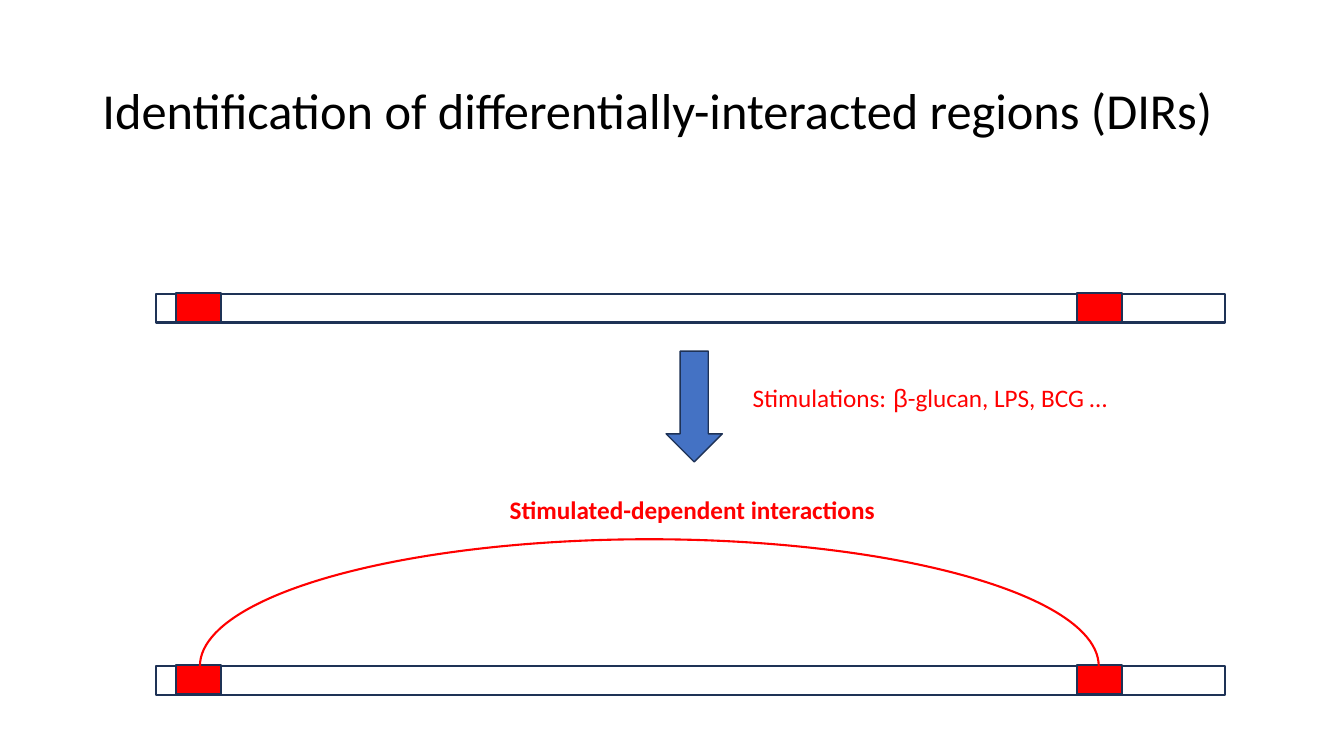
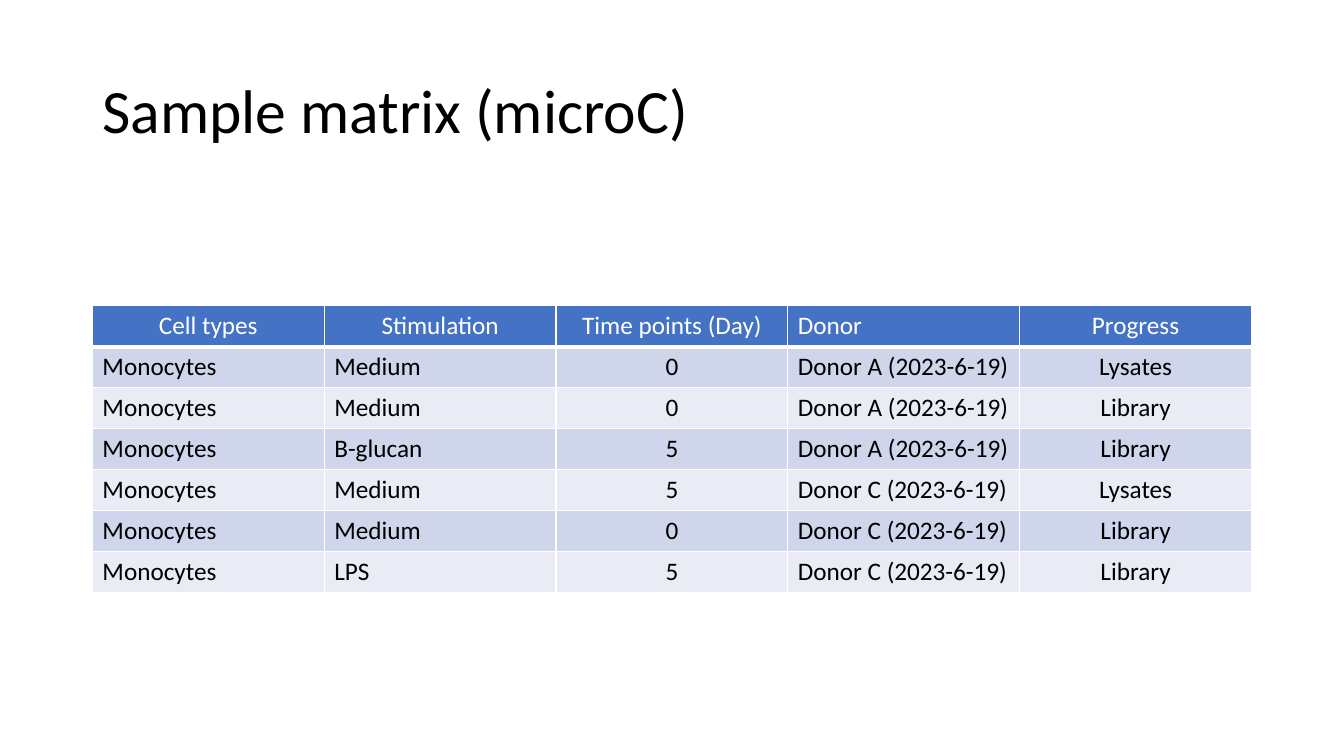
from dataclasses import dataclass

from lxml.etree import SubElement
from pptx import Presentation
from pptx.dml.color import RGBColor
from pptx.enum.shapes import MSO_SHAPE
from pptx.enum.text import MSO_ANCHOR, MSO_AUTO_SIZE, PP_ALIGN
from pptx.oxml.ns import qn
from pptx.util import Inches, Pt

GRID_COLUMNS = 160
GRID_ROWS = 90


@dataclass(frozen=True)
class Theme:
    font: str = "Calibri"
    symbol_font: str = "Arial"
    black: str = "000000"
    white: str = "FFFFFF"
    red: str = "FF0000"
    blue: str = "4472C4"
    outline: str = "1E3256"
    bands: tuple = ("CFD5EA", "E9EBF5")
    title_size: int = 44
    body_size: int = 18
    bar_line: float = 1.5
    arrow_line: float = 1
    cell_line: float = 1
    header_line: float = 3


def write_text(paragraph, text, font, size, color, bold=False, align=PP_ALIGN.LEFT):
    paragraph.alignment = align
    run = paragraph.add_run()
    run.text = text
    run.font.name = font
    run.font.size = Pt(size)
    run.font.bold = bold
    run.font.color.rgb = RGBColor.from_string(color)


def draw_borders(cell, color, widths):
    properties = cell._tc.get_or_add_tcPr()
    for position, (side, width) in enumerate(widths.items()):
        line = SubElement(properties, qn(f"a:ln{side}"), w=str(Pt(width)))
        fill = SubElement(line, qn("a:solidFill"))
        SubElement(fill, qn("a:srgbClr"), val=color)
        properties.insert(position, line)


class Deck:
    def __init__(self, theme):
        self.theme = theme
        self.presentation = Presentation()
        self.presentation.slide_width = Inches(13.33)
        self.presentation.slide_height = Inches(7.5)
        self.slide = None

    def box(self, left, top, width, height):
        column = self.presentation.slide_width / GRID_COLUMNS
        row = self.presentation.slide_height / GRID_ROWS
        return (round(left * column), round(top * row),
                round(width * column), round(height * row))

    def add_slide(self, title, size=None):
        layout = self.presentation.slide_layouts.get_by_name("Title Only")
        self.slide = self.presentation.slides.add_slide(layout)
        shape = self.slide.shapes.title
        shape.left, shape.top, shape.width, shape.height = self.box(11, 4.8, 138, 17.4)
        frame = shape.text_frame
        frame.word_wrap = True
        frame.auto_size = MSO_AUTO_SIZE.NONE
        frame.vertical_anchor = MSO_ANCHOR.MIDDLE
        paragraph = frame.paragraphs[0]
        paragraph.line_spacing = 0.9
        write_text(paragraph, title, font=self.theme.font,
                   size=size or self.theme.title_size, color=self.theme.black)

    def add_shape(self, kind, box, fill, line, line_width):
        shape = self.slide.shapes.add_shape(kind, *self.box(*box))
        shape.shadow.inherit = False
        if fill:
            shape.fill.solid()
            shape.fill.fore_color.rgb = RGBColor.from_string(fill)
        else:
            shape.fill.background()
        shape.line.color.rgb = RGBColor.from_string(line)
        shape.line.width = Pt(line_width)
        return shape

    def add_region_bar(self, top, site_lefts):
        theme = self.theme
        parts = [((18.6, top, 127.2, 3.4), theme.white)]
        parts += [((left, top - 0.1, 5.4, 3.4), theme.red) for left in site_lefts]
        for box, fill in parts:
            self.add_shape(MSO_SHAPE.RECTANGLE, box, fill, theme.outline, theme.bar_line)

    def add_interaction_arc(self, left, top, width, base):
        arc = self.add_shape(MSO_SHAPE.ARC, (left, top, width, 2 * (base - top)),
                             None, self.theme.red, self.theme.bar_line)
        arc.adjustments[0] = 108
        arc.adjustments[1] = 0

    def add_down_arrow(self, box):
        self.add_shape(MSO_SHAPE.DOWN_ARROW, box, self.theme.blue,
                       self.theme.outline, self.theme.arrow_line)

    def add_label(self, box, runs, bold=False):
        frame = self.slide.shapes.add_textbox(*self.box(*box)).text_frame
        frame.word_wrap = False
        frame.auto_size = MSO_AUTO_SIZE.SHAPE_TO_FIT_TEXT
        for text, font in runs:
            write_text(frame.paragraphs[0], text, font=font, bold=bold,
                       size=self.theme.body_size, color=self.theme.red)

    def add_table(self, box, records, centred, header_centred):
        theme = self.theme
        left, top, width, height = self.box(*box)
        table = self.slide.shapes.add_table(
            len(records), len(records[0]), left, top, width, height).table
        for row, record in enumerate(records):
            header = row == 0
            fill = theme.blue if header else theme.bands[(row - 1) % 2]
            widths = dict.fromkeys("LRTB", theme.cell_line)
            if header:
                widths["B"] = theme.header_line
            for column, text in enumerate(record):
                cell = table.cell(row, column)
                cell.fill.solid()
                cell.fill.fore_color.rgb = RGBColor.from_string(fill)
                draw_borders(cell, theme.white, widths)
                middle = column in (header_centred if header else centred)
                write_text(cell.text_frame.paragraphs[0], text, font=theme.font,
                           size=theme.body_size,
                           color=theme.white if header else theme.black,
                           align=PP_ALIGN.CENTER if middle else PP_ALIGN.LEFT)


def build_regions_slide(deck):
    theme = deck.theme
    upper_bar, lower_bar = 35, 79.3
    site_lefts = (20.9, 128.2)
    deck.add_slide("Identification of differentially-interacted regions (DIRs)", size=36)
    deck.add_region_bar(lower_bar, site_lefts)
    deck.add_interaction_arc(23.8, 64.2, 107, lower_bar)
    deck.add_region_bar(upper_bar, site_lefts)
    deck.add_label((59.5, 58.2, 46.2, 4.8),
                   [("Stimulated-dependent interactions", theme.font)], bold=True)
    deck.add_down_arrow((79.3, 41.8, 6.7, 13.2))
    deck.add_label((88.4, 44.9, 45, 4.8), [
        ("Stimulations:", theme.font),
        (" β", theme.symbol_font),
        ("-glucan, LPS, BCG …", theme.font),
    ])


def build_samples_slide(deck):
    donor_a, donor_c = (f"Donor {name} (2023-6-19)" for name in "AC")
    samples = [
        ("Medium", "0", donor_a, "Lysates"),
        ("Medium", "0", donor_a, "Library"),
        ("B-glucan", "5", donor_a, "Library"),
        ("Medium", "5", donor_c, "Lysates"),
        ("Medium", "0", donor_c, "Library"),
        ("LPS", "5", donor_c, "Library"),
    ]
    header = ("Cell types", "Stimulation", "Time points (Day)", "Donor", "Progress")
    records = [header] + [("Monocytes", *sample) for sample in samples]
    deck.add_slide("Sample matrix (microC)")
    deck.add_table((11, 36.4, 138, 34.1), records,
                   centred=(2, 4), header_centred=(0, 1, 2, 4))


def main():
    deck = Deck(Theme())
    build_regions_slide(deck)
    build_samples_slide(deck)
    deck.presentation.save("out.pptx")


if __name__ == "__main__":
    main()
